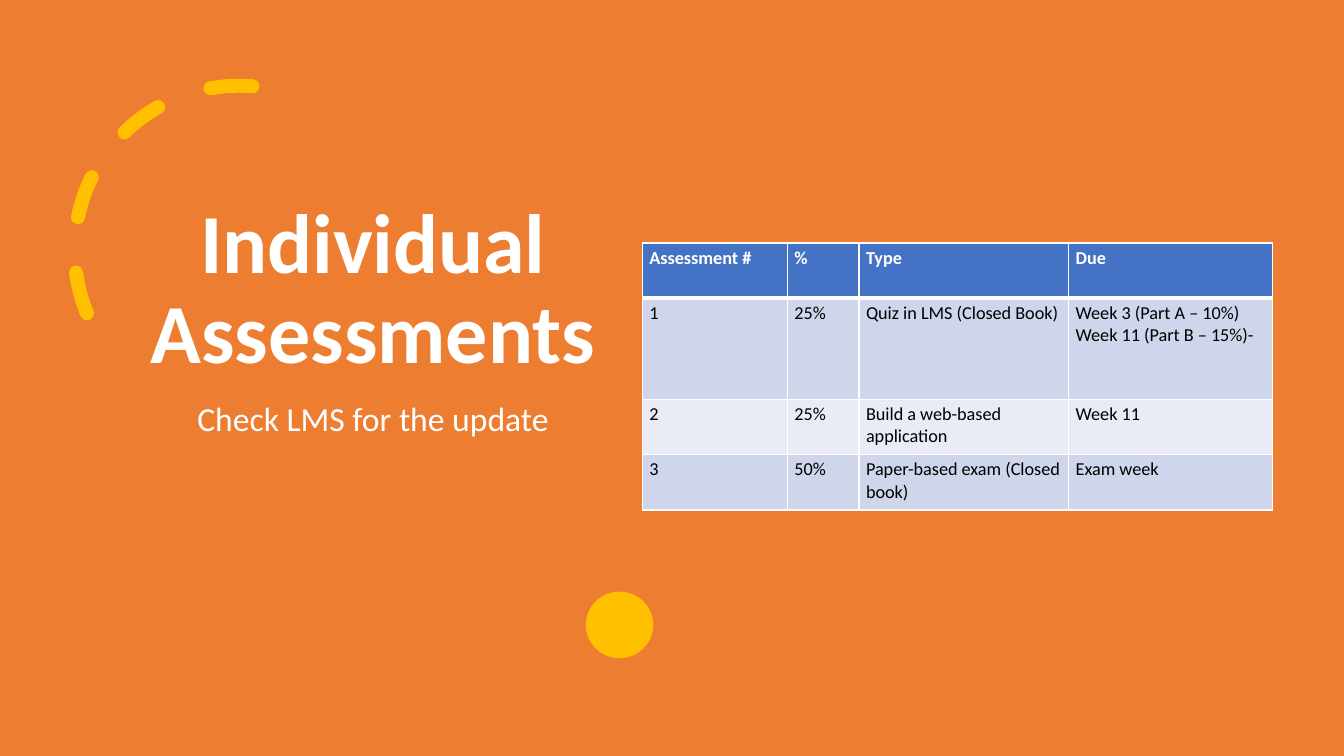
from dataclasses import dataclass

from lxml.etree import SubElement
from pptx import Presentation
from pptx.dml.color import RGBColor
from pptx.enum.dml import MSO_LINE
from pptx.enum.shapes import MSO_SHAPE as Preset
from pptx.enum.text import MSO_ANCHOR as Anchor, PP_ALIGN as Align
from pptx.oxml.ns import qn
from pptx.shapes.autoshape import Shape
from pptx.slide import Slide
from pptx.table import _Cell as Cell
from pptx.text.text import _Paragraph as Paragraph
from pptx.util import Inches, Pt


@dataclass(frozen=True)
class Theme:
    font: str = "Calibri"
    orange: str = "ED7D31"
    gold: str = "FFC000"
    white: str = "FFFFFF"
    black: str = "000000"
    header: str = "4472C4"
    bands: tuple[str, str] = ("CFD5EA", "E9EBF5")
    title_size: int = 60
    subtitle_size: int = 24
    table_size: int = 13
    arc_width: int = 10
    border_width: int = 1
    header_rule: int = 3


@dataclass(frozen=True)
class Box:
    left: float
    top: float
    width: float
    height: float

    def lengths(self) -> tuple[Inches, ...]:
        return tuple(Inches(n) for n in (self.left, self.top, self.width, self.height))


@dataclass(frozen=True)
class Caption:
    text: str
    box: Box
    size: int
    bold: bool
    anchor: Anchor


@dataclass(frozen=True)
class Assessment:
    number: str
    percent: str
    kind: str
    due: str

    def texts(self) -> tuple[str, ...]:
        return self.number, self.percent, self.kind, self.due


THEME = Theme()
SLIDE_BOX = Box(0, 0, 13.33, 7.5)
ARC_BOX = Box(0.74, 0.85, 3.27, 3.27)
DOT_BOX = Box(5.81, 5.87, 0.67, 0.66)
TABLE_BOX = Box(6.37, 2.41, 6.26, 2.66)
COLUMN_WIDTHS = (1.44, 0.71, 2.08, 2.02)
ROW_HEIGHTS = (0.55, 1, 0.55, 0.55)
CELL_MARGINS = {
    "margin_left": Inches(0.07),
    "margin_right": Inches(0.07),
    "margin_top": Inches(0.04),
    "margin_bottom": Inches(0.04),
}
CAPTIONS = (
    Caption("Individual Assessments", Box(0.92, 1.23, 5.56, 2.61),
            THEME.title_size, True, Anchor.BOTTOM),
    Caption("Check LMS for the update", Box(0.92, 3.94, 5.56, 2.33),
            THEME.subtitle_size, False, Anchor.TOP),
)
ASSESSMENTS = (
    Assessment("Assessment #", "%", "Type", "Due"),
    Assessment("1", "25%", "Quiz in LMS (Closed Book)",
               "Week 3 (Part A – 10%)\nWeek 11 (Part B – 15%)-"),
    Assessment("2", "25%", "Build a web-based application", "Week 11"),
    Assessment("3", "50%", "Paper-based exam (Closed book)", "Exam week"),
)


def apply(target: object, values: dict[str, object]) -> None:
    for name, value in values.items():
        setattr(target, name, value)


def format_font(paragraph: Paragraph, size: int, color: str, bold: bool) -> None:
    apply(paragraph.font, {"name": THEME.font, "size": Pt(size), "bold": bold})
    paragraph.font.color.rgb = RGBColor.from_string(color)


def add_filled_shape(slide: Slide, preset: Preset, box: Box, color: str) -> None:
    shape = slide.shapes.add_shape(preset, *box.lengths())
    shape.shadow.inherit = False
    shape.fill.solid()
    shape.fill.fore_color.rgb = RGBColor.from_string(color)
    shape.line.fill.background()


def add_dashed_arc(slide: Slide) -> Shape:
    shape = slide.shapes.add_shape(Preset.ARC, *ARC_BOX.lengths())
    shape.shadow.inherit = False
    shape.adjustments[0] = 144.56
    shape.adjustments[1] = 0
    shape.rotation = 276.7
    shape.fill.background()
    shape.line.color.rgb = RGBColor.from_string(THEME.gold)
    apply(shape.line, {"width": Pt(THEME.arc_width), "dash_style": MSO_LINE.DASH})
    shape.element.spPr.find(qn("a:ln")).set("cap", "rnd")
    return shape


def add_caption(slide: Slide, caption: Caption) -> None:
    frame = slide.shapes.add_textbox(*caption.box.lengths()).text_frame
    apply(frame, {"word_wrap": True, "vertical_anchor": caption.anchor,
                  "text": caption.text})
    paragraph = frame.paragraphs[0]
    apply(paragraph, {"alignment": Align.CENTER, "line_spacing": 0.9})
    format_font(paragraph, caption.size, THEME.white, caption.bold)


def add_borders(cell: Cell, row: int) -> None:
    properties = cell._tc.get_or_add_tcPr()
    for side in ("L", "R", "T", "B"):
        under_header = (row, side) in ((0, "B"), (1, "T"))
        width = THEME.header_rule if under_header else THEME.border_width
        line = SubElement(properties, qn(f"a:ln{side}"), w=str(Pt(width)))
        fill = SubElement(line, qn("a:solidFill"))
        SubElement(fill, qn("a:srgbClr"), val=THEME.white)


def fill_cell(cell: Cell, text: str, row: int) -> None:
    is_header = row == 0
    apply(cell, {"text": text, **CELL_MARGINS})
    for paragraph in cell.text_frame.paragraphs:
        color = THEME.white if is_header else THEME.black
        format_font(paragraph, THEME.table_size, color, is_header)
    add_borders(cell, row)
    background = THEME.header if is_header else THEME.bands[(row - 1) % 2]
    cell.fill.solid()
    cell.fill.fore_color.rgb = RGBColor.from_string(background)


def add_assessment_table(slide: Slide) -> None:
    table = slide.shapes.add_table(
        len(ASSESSMENTS), len(COLUMN_WIDTHS), *TABLE_BOX.lengths()
    ).table
    for column, width in zip(table.columns, COLUMN_WIDTHS):
        column.width = Inches(width)
    for row, height in zip(table.rows, ROW_HEIGHTS):
        row.height = Inches(height)
    for row, assessment in enumerate(ASSESSMENTS):
        for column, text in enumerate(assessment.texts()):
            fill_cell(table.cell(row, column), text, row)


def main() -> None:
    presentation = Presentation()
    apply(presentation, {"slide_width": Inches(SLIDE_BOX.width),
                         "slide_height": Inches(SLIDE_BOX.height)})
    slide = presentation.slides.add_slide(presentation.slide_layouts[6])
    add_filled_shape(slide, Preset.RECTANGLE, SLIDE_BOX, THEME.orange)
    add_dashed_arc(slide)
    add_filled_shape(slide, Preset.OVAL, DOT_BOX, THEME.gold)
    for caption in CAPTIONS:
        add_caption(slide, caption)
    add_assessment_table(slide)
    presentation.save("out.pptx")


if __name__ == "__main__":
    main()
